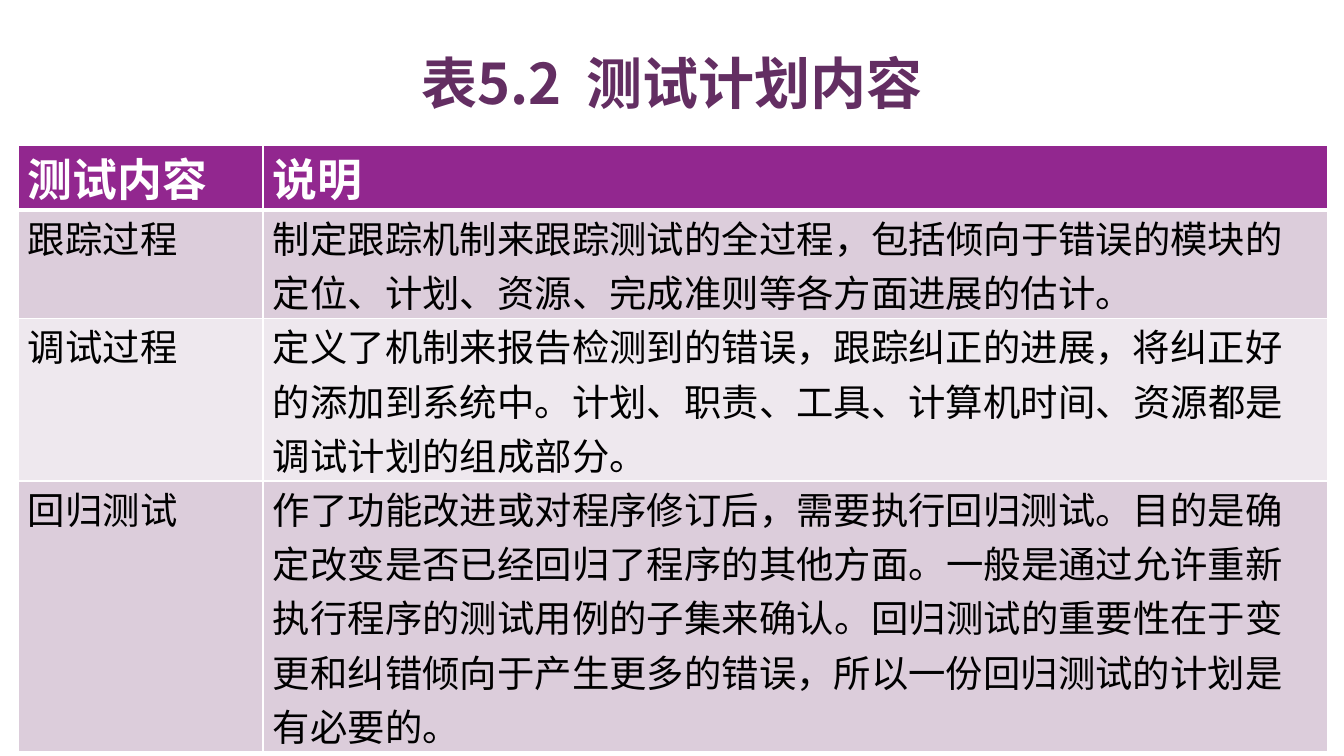
from pptx import Presentation
from pptx import util as u
from pptx.dml.color import RGBColor
from pptx.enum import text
from pptx.oxml import parse_xml
from pptx.oxml.ns import nsdecls

# Content: in the body cells "|" switches between SERIF (first) and SANS
TITLE = "表5.2  测试计划内容"
HEADER = ("测试内容", "说明")
ROWS = [
    ("跟踪过程",
     "|制定跟踪机制来跟踪测试的全过程|，包括倾向于错误的模块的定位、计划、资源、完成准则等各方面进展的估计。"),
    ("调试过程",
     "定义了机制来报告检测到的错误，跟踪纠正的进展，将纠正好的添加到系统中。"
     "计划、职责、工具、计算机时间|、|资源都是调试计划的组成部分。"),
    ("回归测试",
     "作了功能改进或对程序修订后，需要执行回归测试。目的是确定改变是否已经回归了程序的其他方面|。|"
     "一般是通过允许重新|执行|程序的测试用例的子集来|确认|。回归测试的重要性在于变更和纠错倾向于"
     "产生更多的错误，所以一份回归测试的计划是有必要的。"),
]

# Look
SANS, SERIF = "Noto Sans CJK SC", "Times New Roman"
WHITE = RGBColor(0xFF, 0xFF, 0xFF)
BLACK = RGBColor(0x00, 0x00, 0x00)
PLUM = RGBColor(0x63, 0x2E, 0x62)
PURPLE = RGBColor(0x92, 0x27, 0x8F)
BANDS = (RGBColor(0xDC, 0xCD, 0xDB), RGBColor(0xEE, 0xE8, 0xEE))

# Geometry in px
PAGE = (1344, 756)
TITLE_BOX = (67, 51, 1210, 43)
TABLE_BOX = (18, 145, 1310, 495)
COLUMNS = (245, 1065)
HEIGHTS = (65, 44, 43, 44)
INSET_X, INSET_Y = 10, 5


def px(length):
    return u.Emu(round(length * 914400 / 134.4))


def add_span(para, words, font):
    span = para.add_run()
    span.text = words
    span.font.name = font
    span.font._element.append(
        parse_xml(f'<a:ea {nsdecls("a")} typeface="{SANS}"/>'))


def style(para, size, colour, bold):
    para.font.size = u.Pt(size)
    para.font.bold = bold
    para.font.color.rgb = colour
    for span in para.runs:
        span.font.size = u.Pt(size)
        span.font.bold = bold
        span.font.color.rgb = colour


def set_borders(cell, widths):
    properties = cell._tc.get_or_add_tcPr()
    for position, (side, width) in enumerate(widths.items()):
        properties.insert(position, parse_xml(
            f'<a:ln{side} {nsdecls("a")} w="{u.Pt(width)}"><a:solidFill>'
            f'<a:srgbClr val="{WHITE}"/></a:solidFill></a:ln{side}>'))


deck = Presentation()
deck.slide_width, deck.slide_height = map(px, PAGE)
page = deck.slides.add_slide(deck.slide_layouts[5])

# Table
frame = page.shapes.add_table(len(ROWS) + 1, len(COLUMNS), *map(px, TABLE_BOX))
table = frame.table
for column, width in zip(table.columns, COLUMNS):
    column.width = px(width)
for row, height in zip(table.rows, HEIGHTS):
    row.height = px(height)
frame.height = px(TABLE_BOX[3])

for r, entries in enumerate([HEADER, *ROWS]):
    is_header = r == 0
    for c, entry in enumerate(entries):
        cell = table.cell(r, c)
        cell.margin_left = cell.margin_right = px(INSET_X)
        cell.margin_top = cell.margin_bottom = 0
        cell.fill.solid()
        cell.fill.fore_color.rgb = PURPLE if is_header else BANDS[(r - 1) % 2]
        set_borders(cell, {"L": 1, "R": 1, "T": 3 if r == 1 else 1,
                           "B": 3 if is_header else 1})
        para = cell.text_frame.paragraphs[0]
        for i, words in enumerate(entry.split("|")):
            if words:
                add_span(para, words, SANS if is_header or i % 2 else SERIF)
        if is_header:
            style(para, 24, WHITE, True)
        else:
            style(para, 20, BLACK, False)

# Title
title = page.shapes.title
title.left, title.top, title.width, title.height = map(px, TITLE_BOX)
box = title.text_frame
box.word_wrap = True
box.auto_size = text.MSO_AUTO_SIZE.NONE
box.vertical_anchor = text.MSO_ANCHOR.TOP
box.margin_left = box.margin_right = px(INSET_X)
box.margin_top = box.margin_bottom = px(INSET_Y)
para = box.paragraphs[0]
para.alignment = text.PP_ALIGN.CENTER
para.line_spacing = 0.9
add_span(para, TITLE, SANS)
style(para, 30, PLUM, True)

deck.save("out.pptx")
